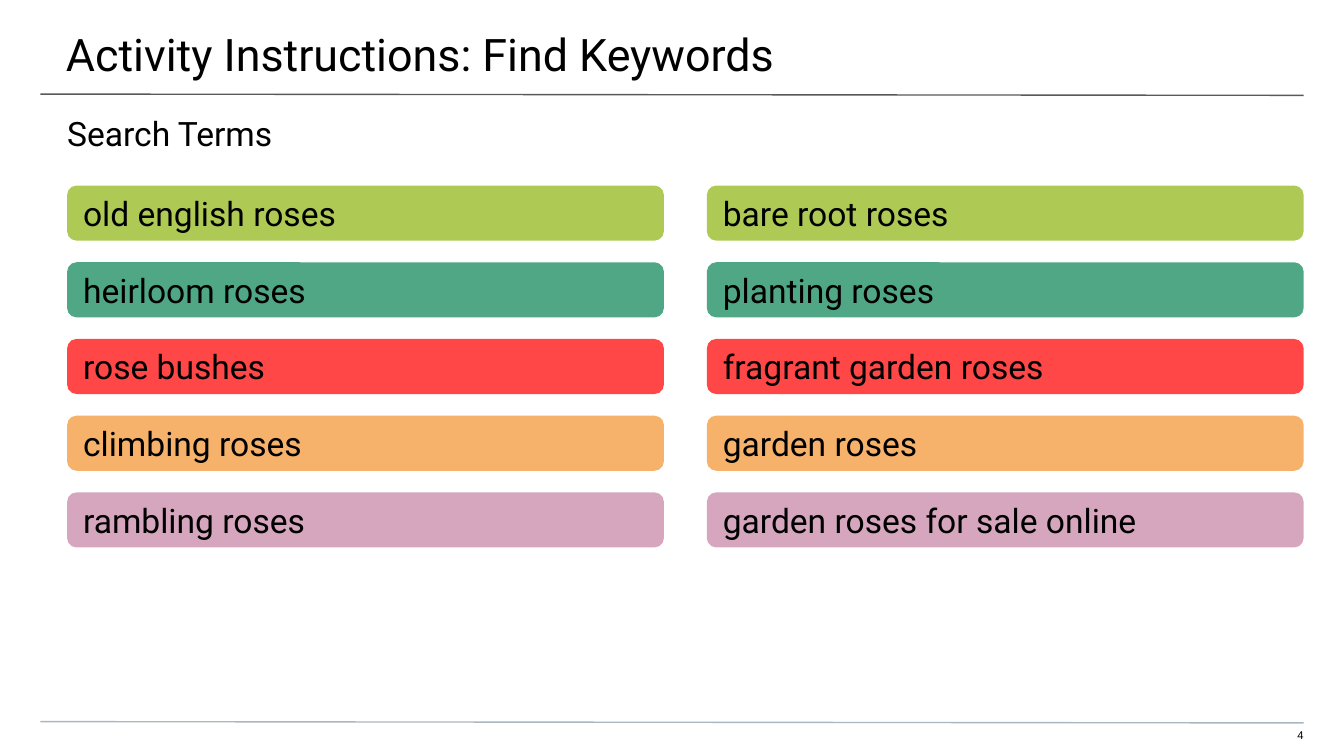
import lxml.etree
import pptx
import pptx.dml.color
import pptx.enum.shapes
import pptx.enum.text
import pptx.oxml.ns
import pptx.util

Pt = pptx.util.Pt
RGBColor = pptx.dml.color.RGBColor
Align = pptx.enum.text.PP_ALIGN
Anchor = pptx.enum.text.MSO_ANCHOR

BLACK = RGBColor(0x00, 0x00, 0x00)
GREY = RGBColor(0x59, 0x59, 0x59)
BLUE_GREY = RGBColor(0xA9, 0xB7, 0xC0)
LIME = RGBColor(0xAF, 0xCA, 0x54)
GREEN = RGBColor(0x4F, 0xA7, 0x86)
RED = RGBColor(0xFF, 0x00, 0x00)
ORANGE = RGBColor(0xF6, 0xB2, 0x6B)
PINK = RGBColor(0xD5, 0xA6, 0xBD)

TERM_ROWS = [
    (LIME, 100, ("old english roses", "bare root roses")),
    (GREEN, 100, ("heirloom roses", "planting roses")),
    (RED, 72, ("rose bushes", "fragrant garden roses")),
    (ORANGE, 100, ("climbing roses", "garden roses")),
    (PINK, 100, ("rambling roses", "garden roses for sale online")),
]
TERM_LEFT, TERM_TOP = 36, 99.4
TERM_WIDTH, TERM_HEIGHT = 319.7, 29.5
COLUMN_STEP, ROW_STEP = 342.7, 41.1


def write_text(box, text, size, insets, font="Roboto", align=Align.LEFT, anchor=Anchor.TOP):
    frame = box.text_frame
    frame.word_wrap = True
    frame.auto_size = pptx.enum.text.MSO_AUTO_SIZE.NONE
    frame.vertical_anchor = anchor
    left, top, right, bottom = insets
    frame.margin_left, frame.margin_top = Pt(left), Pt(top)
    frame.margin_right, frame.margin_bottom = Pt(right), Pt(bottom)
    para = frame.paragraphs[0]
    para.alignment = align
    span = para.add_run()
    span.text = text
    span.font.size = Pt(size)
    span.font.name = font
    span.font.color.rgb = BLACK


def add_title(page, text):
    title = page.shapes.title
    title.left, title.top = Pt(-0.7), Pt(0)
    title.width, title.height = Pt(722), Pt(41.8)
    write_text(title, text, 24, (36, 14.4, 21.6, 7.2))


def add_text(page, text, left, top, width, height, size, insets, **style):
    box = page.shapes.add_textbox(Pt(left), Pt(top), Pt(width), Pt(height))
    write_text(box, text, size, insets, **style)


def add_rule(page, top, color):
    rule = page.shapes.add_connector(
        pptx.enum.shapes.MSO_CONNECTOR.STRAIGHT, Pt(21.6), Pt(top), Pt(698.4), Pt(top + 0.7)
    )
    rule.line.color.rgb = color
    rule.line.width = Pt(0.75)
    properties = rule.element.spPr
    lxml.etree.SubElement(properties, pptx.oxml.ns.qn("a:effectLst"))


def add_term(page, text, left, top, color, opacity):
    term = page.shapes.add_shape(
        pptx.enum.shapes.MSO_SHAPE.ROUNDED_RECTANGLE,
        Pt(left), Pt(top), Pt(TERM_WIDTH), Pt(TERM_HEIGHT),
    )
    term.adjustments[0] = 0.17
    term.shadow.inherit = False
    term.fill.solid()
    term.fill.fore_color.rgb = color
    term.line.fill.background()
    if opacity < 100:
        shade = term.element.spPr.find(".//" + pptx.oxml.ns.qn("a:srgbClr"))
        alpha = lxml.etree.SubElement(shade, pptx.oxml.ns.qn("a:alpha"))
        alpha.set("val", str(opacity * 1000))
    write_text(term, text, 18, (7.2, 7.2, 7.2, 7.2), anchor=Anchor.MIDDLE)


def add_terms(page):
    for row, (color, opacity, terms) in enumerate(TERM_ROWS):
        for column, text in enumerate(terms):
            left = TERM_LEFT + column * COLUMN_STEP
            top = TERM_TOP + row * ROW_STEP
            add_term(page, text, left, top, color, opacity)


def main():
    deck = pptx.Presentation()
    deck.slide_width, deck.slide_height = Pt(720), Pt(405)
    page = deck.slides.add_slide(deck.slide_layouts.get_by_name("Title Only"))
    add_rule(page, 50.4, GREY)
    add_rule(page, 386.6, BLUE_GREY)
    add_text(page, "4", 677.5, 390.2, 20.9, 8.6, 6, (0, 0, 0, 7.2), font="Arial", align=Align.RIGHT)
    add_title(page, "Activity Instructions: Find Keywords")
    add_text(page, "Search Terms", 0, 53.3, 720, 28.8, 18, (36, 7.2, 36, 0))
    add_terms(page)
    deck.save("out.pptx")


if __name__ == "__main__":
    main()
